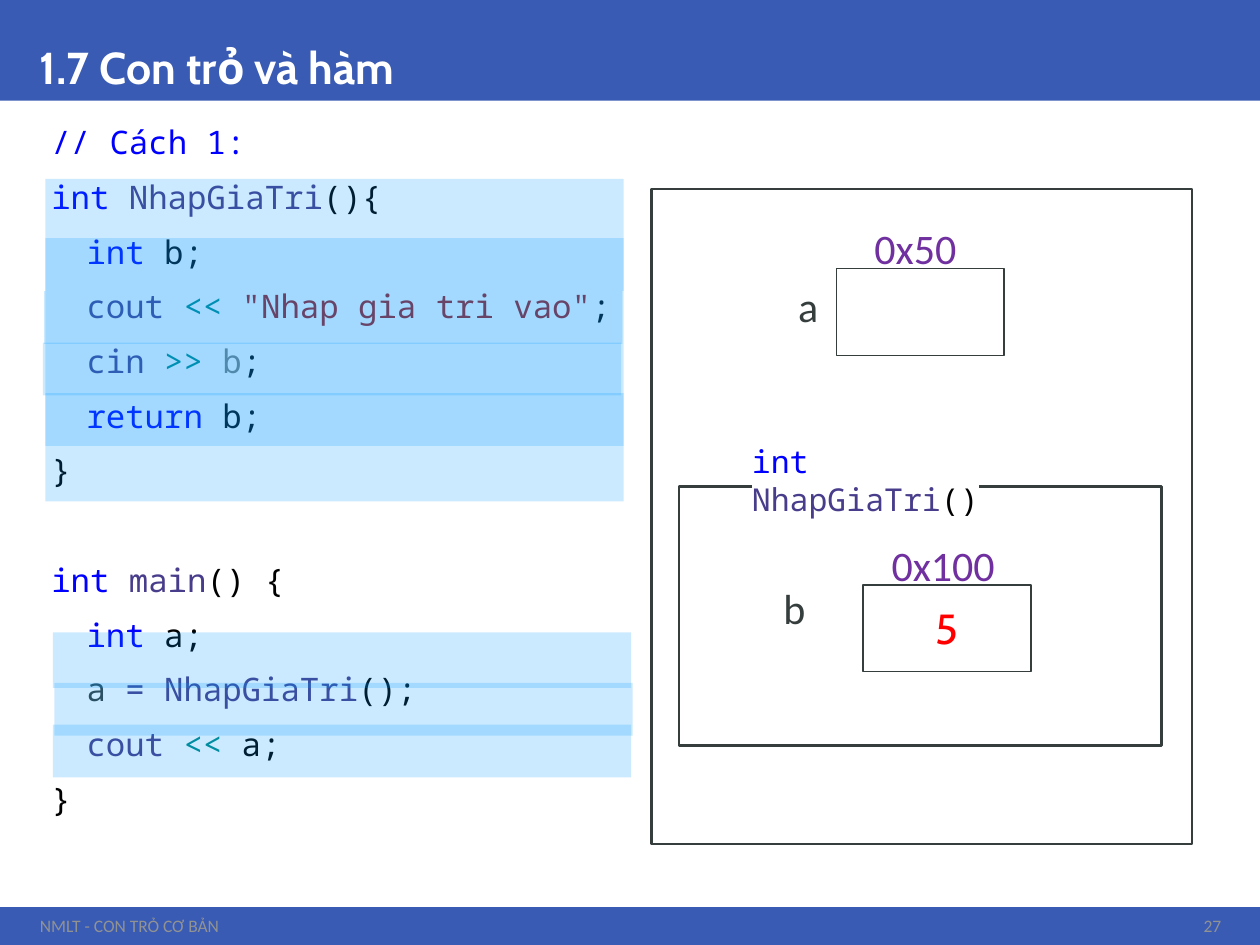
from lxml import etree
from pptx import Presentation
from pptx.dml import color
from pptx.enum import shapes, text
from pptx.oxml import ns
from pptx.util import Pt

BLUE, WHITE, DARK, GREY = "3A5BB3", "FFFFFF", "363D3D", "919292"
KEYWORD, NAME, PLAIN, OPERATOR = "0000FF", "483D8B", "000000", "008B8B"
STRING, DIM, ADDRESS, VALUE, GLOW = "A31515", "808080", "7030A0", "FF0000", "0099FF"
MONO, SANS, HEAD = "Noto Sans Mono", "Calibri", "Cabin"
MIDDLE, CENTER = text.MSO_ANCHOR.MIDDLE, text.PP_ALIGN.CENTER

OUTER, INNER = 6.5, 26.6  # code indents
GAP, LINE = 13.5, 31.2  # space between code lines, full line pitch

# Each line: indent, space before, (text, colour) runs
CODE = [
    (OUTER, 0, [("// Cách 1:", KEYWORD)]),
    (OUTER, GAP, [("int", KEYWORD), (" ", PLAIN), ("NhapGiaTri", NAME), ("(){", PLAIN)]),
    (INNER, GAP, [("int", KEYWORD), (" b;", PLAIN)]),
    (INNER, GAP, [("cout", NAME), (" ", PLAIN), ("<<", OPERATOR), (" ", PLAIN),
                  ('"Nhap gia tri vao"', STRING), (";", PLAIN)]),
    (INNER, GAP, [("cin", NAME), (" ", PLAIN), (">>", OPERATOR), (" ", PLAIN),
                  ("b", DIM), (";", PLAIN)]),
    (INNER, GAP, [("return", KEYWORD), (" b;", PLAIN)]),
    (OUTER, GAP, [("}", PLAIN)]),
    (OUTER, GAP + LINE, [("int", KEYWORD), (" ", PLAIN), ("main", NAME), ("() {", PLAIN)]),
    (INNER, GAP, [("int", KEYWORD), (" a;", PLAIN)]),
    (INNER, GAP, [("a", DARK), (" = NhapGiaTri", NAME), ("();", PLAIN)]),
    (INNER, GAP, [("cout", NAME), (" ", PLAIN), ("<<", OPERATOR), (" a;", PLAIN)]),
    (OUTER, GAP, [("}", PLAIN)]),
]

# Highlight bars over the code: left, top, height
BARS = [
    (30.2, 361.4, 31.7), (31, 390.2, 30.2), (30.2, 414, 30.2),
    (25.9, 102.2, 184.3), (25.9, 136.1, 30.2), (25.2, 166.3, 30.2),
    (24.5, 195.8, 30.2), (25.9, 224.6, 30.2),
]


def rgb(value):
    return color.RGBColor.from_string(value)


def add_box(s, at, fill, line=None, alpha=None):
    sp = s.shapes.add_shape(shapes.MSO_SHAPE.RECTANGLE, *map(Pt, at))
    sp.shadow.inherit = False
    sp.fill.solid()
    sp.fill.fore_color.rgb = rgb(fill)
    if alpha:
        clr = sp.fill._xPr.find(".//" + ns.qn("a:srgbClr"))
        etree.SubElement(clr, ns.qn("a:alpha"), val=str(alpha * 1000))
    if line:
        sp.line.color.rgb = rgb(DARK)
        sp.line.width = Pt(line)
    else:
        sp.line.fill.background()
    return sp


def add_run(p, words, hue, size, name, bold=False, mark=False):
    """Add a coloured run; mark puts a white highlight behind it."""
    r = p.add_run()
    r.text = words
    r.font.color.rgb = rgb(hue)
    if mark:
        hl = etree.SubElement(r._r.get_or_add_rPr(), ns.qn("a:highlight"))
        etree.SubElement(hl, ns.qn("a:srgbClr"), val=WHITE)
    for key, value in {"size": Pt(size), "name": name, "bold": bold}.items():
        setattr(r.font, key, value)


def add_frame(s, at, anchor=text.MSO_ANCHOR.TOP):
    tf = s.shapes.add_textbox(*map(Pt, at)).text_frame
    tf.word_wrap = True
    tf.vertical_anchor = anchor
    return tf


def add_label(s, at, words, hue, size=24, name=SANS, align=CENTER,
              anchor=MIDDLE, bold=False):
    p = add_frame(s, at, anchor).paragraphs[0]
    p.alignment = align
    add_run(p, words, hue, size, name, bold)
    return p


def add_code(s, at, lines, size, spacing=None):
    tf = add_frame(s, at)
    for i, (indent, before, runs) in enumerate(lines):
        p = tf.add_paragraph() if i else tf.paragraphs[0]
        p._p.get_or_add_pPr().set("marL", str(Pt(indent)))
        for key, value in {"line_spacing": spacing, "space_before": Pt(before)}.items():
            setattr(p, key, value)
        for words, hue in runs:
            add_run(p, words, hue, size, MONO, mark=True)


def add_bands(s):
    left, right = text.PP_ALIGN.LEFT, text.PP_ALIGN.RIGHT
    add_box(s, (0, 0, 720, 57.6), BLUE)
    add_box(s, (0, 518.4, 720, 21.6), BLUE)
    title = add_label(s, (15.8, 0, 689, 57.6), "1.7 Con trỏ và hàm", WHITE, 25.5, HEAD,
                      left, text.MSO_ANCHOR.BOTTOM, True)
    title.line_spacing = 0.9
    add_label(s, (15.8, 519.8, 594.7, 18.7), "NMLT - CON TRỎ CƠ BẢN", GREY, 10, align=left)
    add_label(s, (666.7, 519.8, 38.2, 18.7), "27", GREY, 10, align=right)


def add_memory(s):
    """Draw the stack frames with the variables a and b."""
    add_box(s, (372.2, 108, 308.9, 374.4), WHITE, 1.5)
    add_box(s, (478.1, 153.4, 95.8, 49.7), WHITE, 1)
    add_label(s, (411.1, 160.6, 101.5, 28.1), "a", DARK)
    add_label(s, (472.3, 127.4, 101.5, 28.1), "0x50", ADDRESS)
    add_box(s, (388.1, 277.9, 275.8, 148.3), WHITE, 1.5)
    cell = add_box(s, (493.2, 334.1, 95.8, 49.7), WHITE, 1)
    cell.text_frame.vertical_anchor = MIDDLE
    p = cell.text_frame.paragraphs[0]
    p.alignment = CENTER
    add_run(p, "5", VALUE, 24, HEAD)
    add_label(s, (403.2, 333.4, 101.5, 28.1), "b", DARK)
    add_label(s, (488.2, 308.9, 101.5, 28.1), "0x100", ADDRESS)
    caption = [("int", KEYWORD), (" ", PLAIN), ("NhapGiaTri", NAME), ("()", PLAIN)]
    add_code(s, (422.6, 249.1, 184.3, 28.8), [(0, 0, caption)], 18)


def main():
    prs = Presentation()
    prs.slide_width, prs.slide_height = Pt(720), Pt(540)
    s = prs.slides.add_slide(prs.slide_layouts[6])
    add_bands(s)
    add_code(s, (15.8, 70.6, 689, 435.6), CODE, 18.5, 0.8)
    add_memory(s)
    for left, top, height in BARS:
        add_box(s, (left, top, 330.5, height), GLOW, alpha=20)
    prs.save("out.pptx")


if __name__ == "__main__":
    main()
